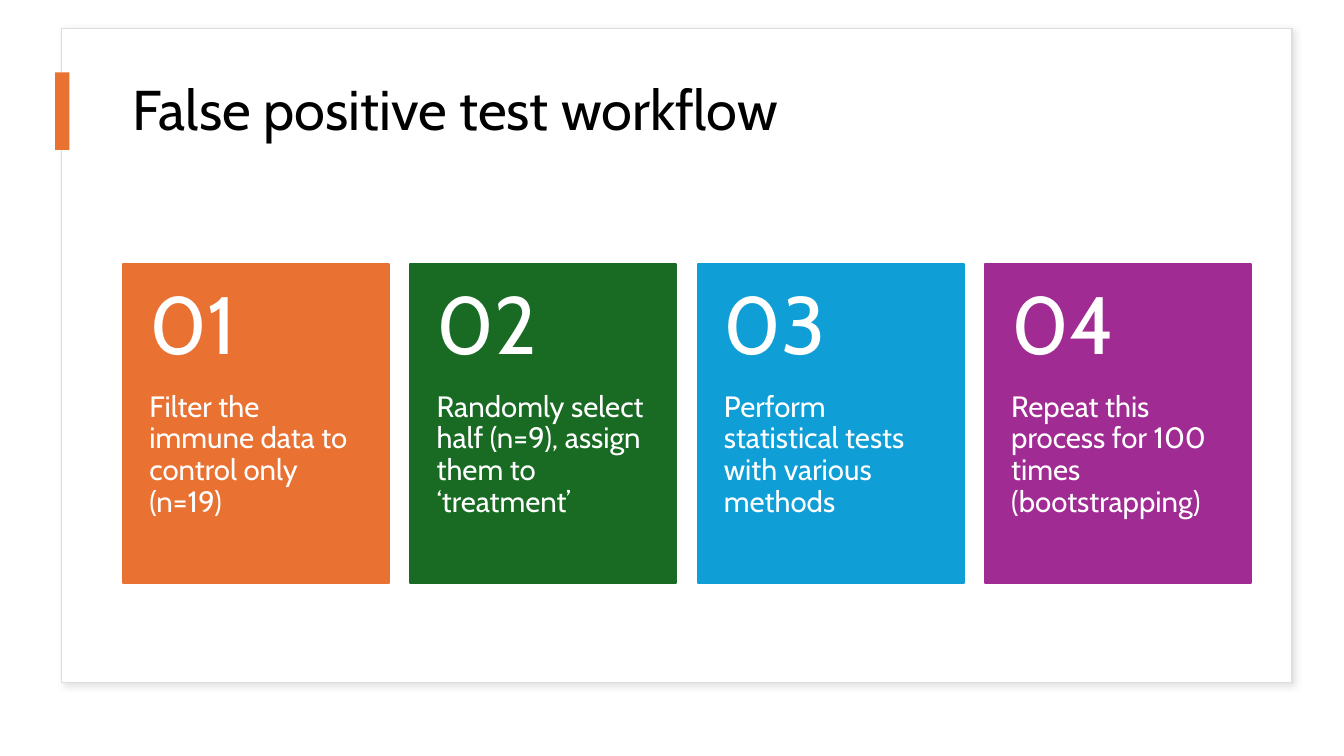
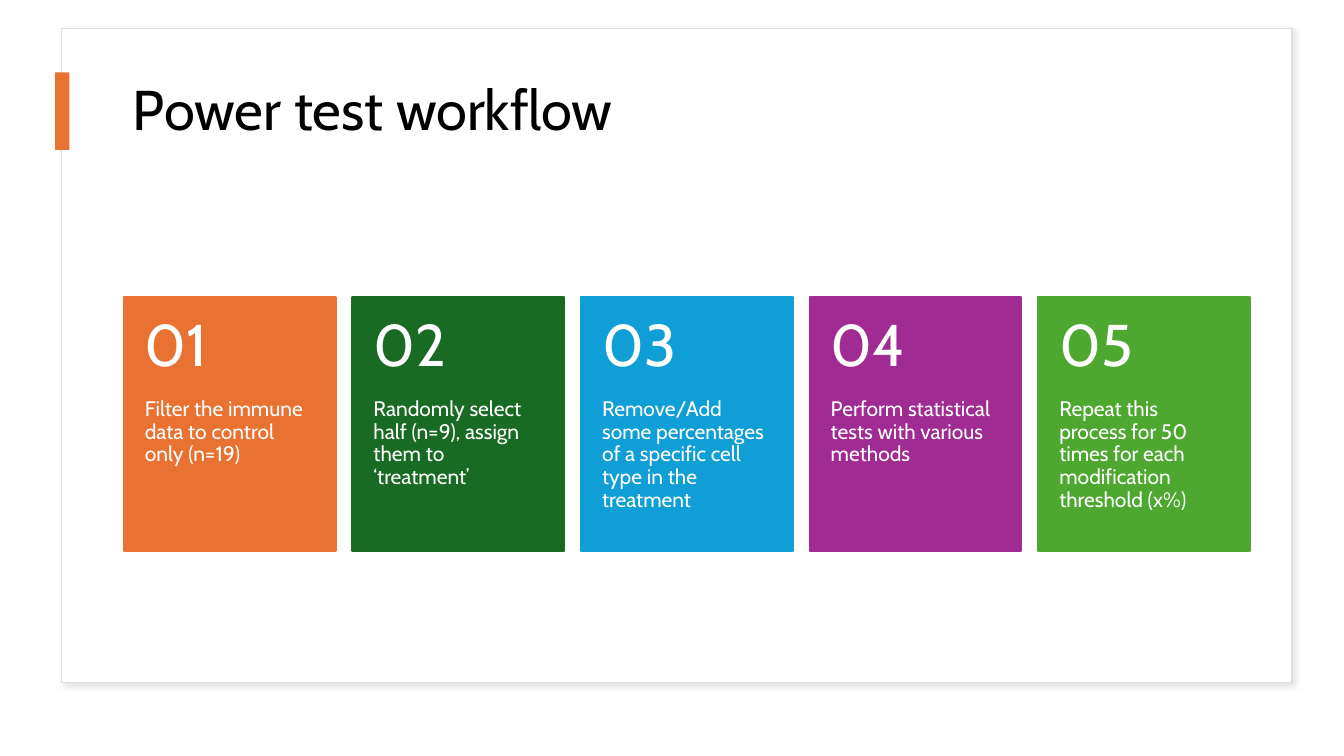
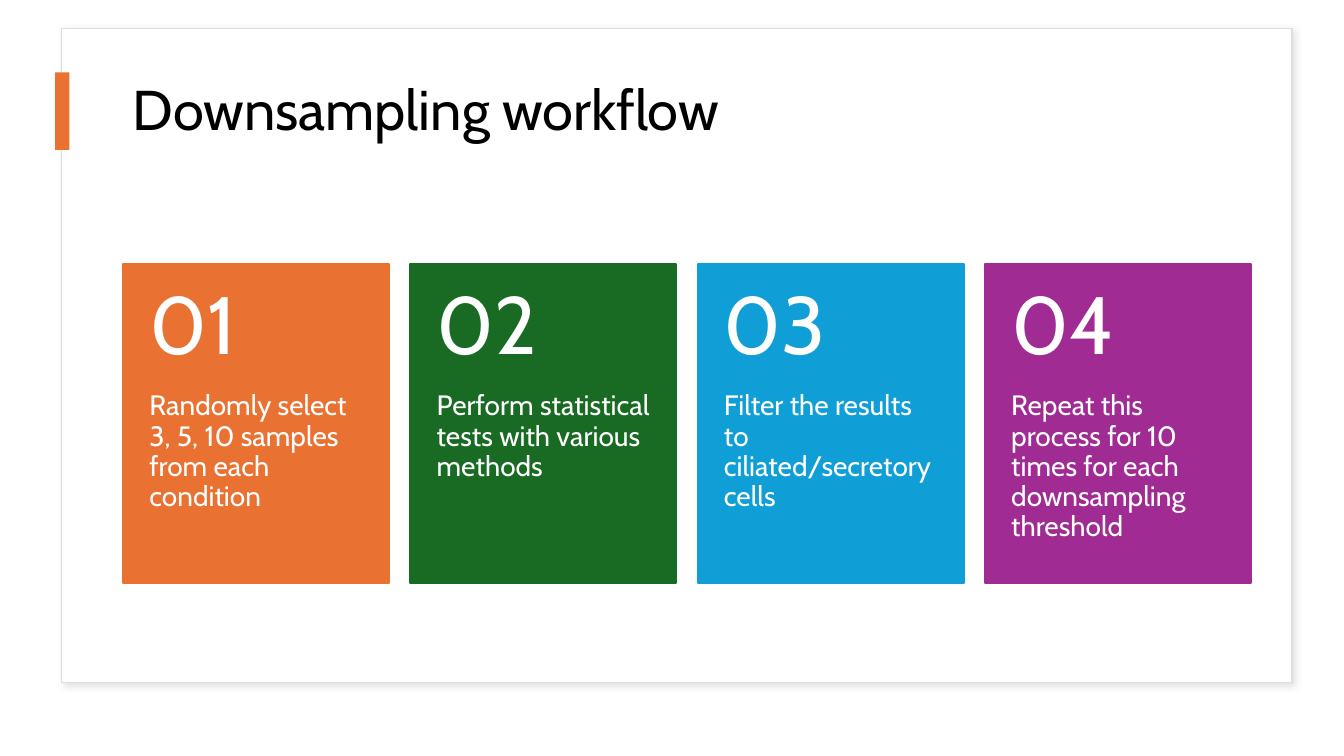
from dataclasses import dataclass
from typing import Any

import lxml.etree
import pptx
import pptx.dml.color
import pptx.enum.shapes
import pptx.enum.text
import pptx.oxml.ns
import pptx.util

Pt = pptx.util.Pt
RGBColor = pptx.dml.color.RGBColor
Anchor = pptx.enum.text.MSO_ANCHOR

WHITE = RGBColor(0xFF, 0xFF, 0xFF)
BLACK = RGBColor(0x00, 0x00, 0x00)
FRAME_GRAY = RGBColor(0xDE, 0xDE, 0xDE)
SHADOW_GRAY = RGBColor(0xC5, 0xC5, 0xC5)
ORANGE = RGBColor(0xE9, 0x71, 0x32)
DARK_GREEN = RGBColor(0x19, 0x6B, 0x24)
BLUE = RGBColor(0x0F, 0x9E, 0xD5)
PURPLE = RGBColor(0xA0, 0x2B, 0x93)
GREEN = RGBColor(0x4E, 0xA7, 0x2E)
CARD_COLORS = (ORANGE, DARK_GREEN, BLUE, PURPLE, GREEN)

FONT = "Cabin"
ROW_CENTER_X = 490.7
ROW_CENTER_Y = 302.6
GAP_RATIO = 0.08
HEIGHT_RATIO = 1.2
NUMBER_RATIO = 0.4


@dataclass(frozen=True)
class Box:
    left: float
    top: float
    width: float
    height: float

    def lengths(self) -> tuple[pptx.util.Length, ...]:
        return Pt(self.left), Pt(self.top), Pt(self.width), Pt(self.height)


@dataclass(frozen=True)
class TextStyle:
    size: float
    color: RGBColor
    anchor: Anchor
    insets: tuple[float, float, float, float]


@dataclass(frozen=True)
class CardStyle:
    width: float
    inset: float
    number_size: float
    step_size: float


@dataclass(frozen=True)
class Workflow:
    title: str
    style: CardStyle
    steps: tuple[str, ...]


FRAME = Box(44, 20.2, 879, 467.3)
TITLE = Box(87.9, 40.3, 805.6, 80)
ACCENT = Box(39.4, 51.8, 10.2, 55.4)
TITLE_STYLE = TextStyle(40, BLACK, Anchor.MIDDLE, (7.2, 3.6, 7.2, 3.6))

WORKFLOWS = (
    Workflow(
        "False positive test workflow",
        CardStyle(190, 18.8, 58, 21),
        (
            "Filter the immune data to control only (n=19)",
            "Randomly select half (n=9), assign them to ‘treatment’",
            "Perform statistical tests with various methods",
            "Repeat this process for 100 times (bootstrapping)",
        ),
    ),
    Workflow(
        "Power test workflow",
        CardStyle(151.2, 15, 42, 15),
        (
            "Filter the immune data to control only (n=19)",
            "Randomly select half (n=9), assign them to ‘treatment’",
            "Remove/Add some percentages of a specific cell type in the treatment",
            "Perform statistical tests with various methods",
            "Repeat this process for 50 times for each modification threshold (x%)",
        ),
    ),
    Workflow(
        "Downsampling workflow",
        CardStyle(190, 18.8, 58, 20),
        (
            "Randomly select 3, 5, 10 samples from each condition",
            "Perform statistical tests with various methods",
            "Filter the results to ciliated/secretory cells",
            "Repeat this process for 10 times for each downsampling threshold",
        ),
    ),
)


def apply_format(target: Any, values: dict[str, Any]) -> None:
    for name, value in values.items():
        setattr(target, name, value)


def add_rectangle(shapes: Any, box: Box, fill: RGBColor,
                  line: RGBColor | None = None, line_width: float = 1) -> Any:
    shape = shapes.add_shape(pptx.enum.shapes.MSO_SHAPE.RECTANGLE, *box.lengths())
    shape.shadow.inherit = False
    shape.fill.solid()
    shape.fill.fore_color.rgb = fill
    if line is None:
        shape.line.fill.background()
    else:
        shape.line.color.rgb = line
        shape.line.width = Pt(line_width)
    return shape


def add_text(shapes: Any, box: Box, text: str, style: TextStyle) -> None:
    frame = shapes.add_textbox(*box.lengths()).text_frame
    left, top, right, bottom = map(Pt, style.insets)
    apply_format(frame, {
        "word_wrap": True,
        "vertical_anchor": style.anchor,
        "margin_left": left,
        "margin_top": top,
        "margin_right": right,
        "margin_bottom": bottom,
    })
    paragraph = frame.paragraphs[0]
    paragraph.line_spacing = 0.9
    run = paragraph.add_run()
    run.text = text
    apply_format(run.font, {"name": FONT, "size": Pt(style.size)})
    run.font.color.rgb = style.color


def add_soft_shadow(shape: Any) -> None:
    qn = pptx.oxml.ns.qn
    effects = shape._element.spPr.find(qn("a:effectLst"))
    shadow = lxml.etree.SubElement(effects, qn("a:outerShdw"), {
        "blurRad": str(Pt(4)), "dist": str(Pt(3)), "dir": str(45 * 60000),
        "algn": "tl", "rotWithShape": "0",
    })
    color = lxml.etree.SubElement(shadow, qn("a:srgbClr"), val=str(SHADOW_GRAY))
    lxml.etree.SubElement(color, qn("a:alpha"), val="50000")


def add_card(shapes: Any, box: Box, number: int, step: str,
             color: RGBColor, style: CardStyle) -> None:
    add_rectangle(shapes, box, color, color, 1.5)
    number_height = box.height * NUMBER_RATIO
    step_box = Box(box.left, box.top + number_height, box.width, box.height - number_height)
    number_box = Box(box.left, box.top, box.width, number_height)
    inset = style.inset
    add_text(shapes, step_box, step,
             TextStyle(style.step_size, WHITE, Anchor.TOP, (inset, 0, inset, 26)))
    add_text(shapes, number_box, f"{number:02}",
             TextStyle(style.number_size, WHITE, Anchor.MIDDLE, (inset, 13, inset, 13)))


def add_card_row(slide: Any, workflow: Workflow) -> None:
    """Center a row of equally spaced cards, one for each step."""
    width = workflow.style.width
    height = width * HEIGHT_RATIO
    pitch = width * (1 + GAP_RATIO)
    left = ROW_CENTER_X - (pitch * (len(workflow.steps) - 1) + width) / 2
    top = ROW_CENTER_Y - height / 2
    shapes = slide.shapes.add_group_shape().shapes
    for index, (step, color) in enumerate(zip(workflow.steps, CARD_COLORS)):
        box = Box(left + index * pitch, top, width, height)
        add_card(shapes, box, index + 1, step, color, workflow.style)


def add_workflow_slide(presentation: Any, workflow: Workflow) -> None:
    slide = presentation.slides.add_slide(presentation.slide_layouts[6])
    add_soft_shadow(add_rectangle(slide.shapes, FRAME, WHITE, FRAME_GRAY))
    add_text(slide.shapes, TITLE, workflow.title, TITLE_STYLE)
    add_rectangle(slide.shapes, ACCENT, ORANGE)
    add_card_row(slide, workflow)


def main() -> None:
    presentation = pptx.Presentation()
    apply_format(presentation, {"slide_width": Pt(960), "slide_height": Pt(540)})
    for workflow in WORKFLOWS:
        add_workflow_slide(presentation, workflow)
    presentation.save("out.pptx")


if __name__ == "__main__":
    main()
